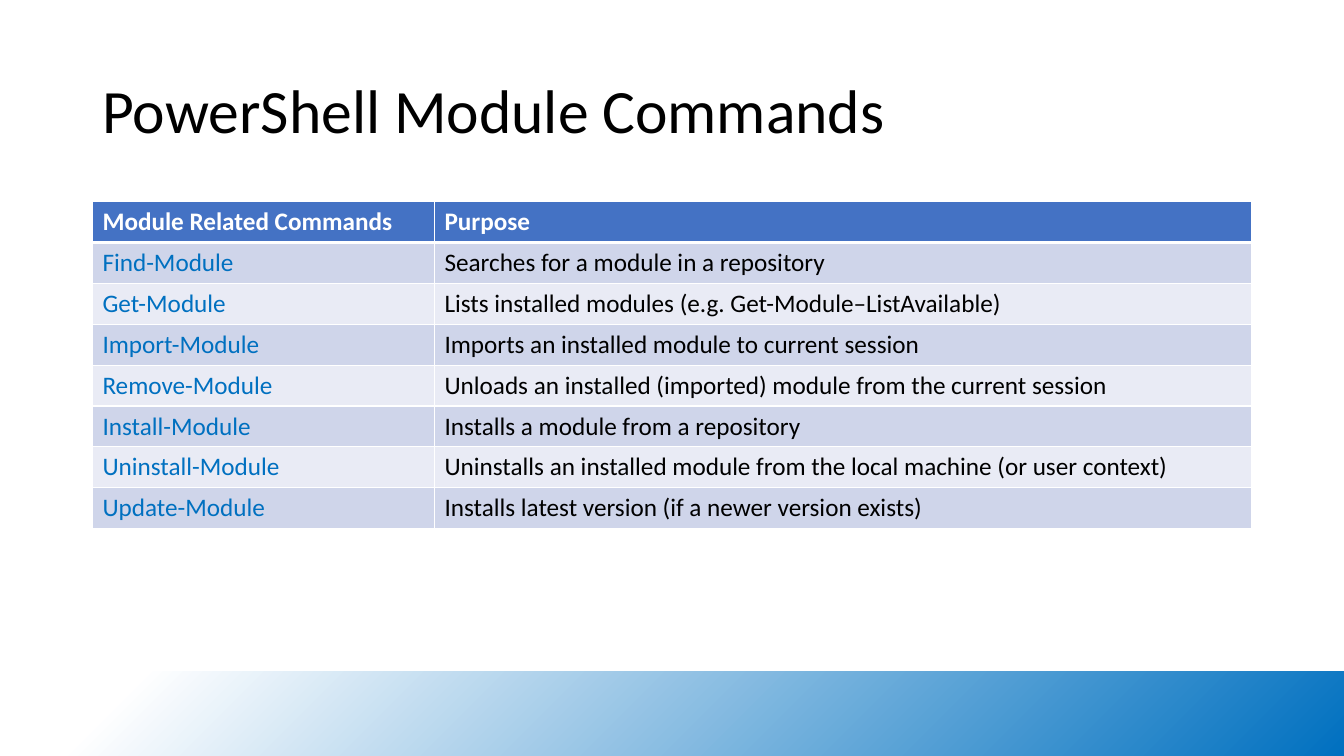
from lxml.etree import fromstring
from pptx import Presentation
from pptx.dml.color import RGBColor
from pptx.enum.shapes import MSO_SHAPE
from pptx.enum.text import MSO_ANCHOR
from pptx.util import Cm, Pt

NS = 'xmlns:a="http://schemas.openxmlformats.org/drawingml/2006/main"'
FONT = "Calibri"
WHITE, BLACK, BLUE, HEADER = "FFFFFF", "000000", "0070C0", "4472C4"
BANDS = ["CFD5EA", "E9EBF5"]

ROWS = [
    ("Module Related Commands", "Purpose"),
    ("Find-Module", "Searches for a module in a repository"),
    ("Get-Module", "Lists installed modules (e.g. Get-Module–ListAvailable)"),
    ("Import-Module", "Imports an installed module to current session"),
    ("Remove-Module", "Unloads an installed (imported) module from the current session"),
    ("Install-Module", "Installs a module from a repository"),
    ("Uninstall-Module", "Uninstalls an installed module from the local machine (or user context)"),
    ("Update-Module", "Installs latest version (if a newer version exists)"),
]


def rgb(color):
    return RGBColor.from_string(color)


def write(tf, text, size, color, bold=False):
    tf.text = text
    font = tf.paragraphs[0].runs[0].font
    font.name, font.size, font.bold = FONT, Pt(size), bold
    font.color.rgb = rgb(color)


prs = Presentation()
prs.slide_width, prs.slide_height = Cm(33.87), Cm(19.05)
s = prs.slides.add_slide(prs.slide_layouts[6])

# Footer band, fading out from the bottom right corner
band = s.shapes.add_shape(MSO_SHAPE.RECTANGLE, 0, Cm(16.93), prs.slide_width, Cm(2.12))
band.shadow.inherit = False
band.line.fill.background()
band.fill.background()
no_fill = band.element.spPr.find("{*}noFill")
no_fill.getparent().replace(no_fill, fromstring(
    f'<a:gradFill {NS} rotWithShape="1"><a:gsLst>'
    f'<a:gs pos="0"><a:srgbClr val="{WHITE}"/></a:gs>'
    f'<a:gs pos="0"><a:srgbClr val="{BLUE}"/></a:gs>'
    f'<a:gs pos="90000"><a:srgbClr val="{WHITE}"/></a:gs></a:gsLst>'
    '<a:path path="circle"><a:fillToRect l="100000" t="100000"/></a:path>'
    '<a:tileRect r="-100000" b="-100000"/></a:gradFill>'))

# Title
title = s.shapes.add_textbox(Cm(2.33), Cm(1.01), Cm(29.21), Cm(3.68))
tf = title.text_frame
tf.word_wrap = True
tf.vertical_anchor = MSO_ANCHOR.MIDDLE
write(tf, "PowerShell Module Commands", 44, BLACK)
tf.paragraphs[0].line_spacing = 0.9

# Command table
row_height = Cm(1.03)
table = s.shapes.add_table(len(ROWS), 2, Cm(2.33), Cm(5.08),
                           Cm(29.21), row_height * len(ROWS)).table
table.columns[0].width, table.columns[1].width = Cm(8.62), Cm(20.59)
for i, row in enumerate(ROWS):
    table.rows[i].height = row_height
    header = i == 0
    fill = HEADER if header else BANDS[(i - 1) % 2]
    widths = {"L": 1, "R": 1, "T": 3 if i == 1 else 1, "B": 3 if header else 1}
    for j, text in enumerate(row):
        cell = table.cell(i, j)
        color = WHITE if header else (BLUE, BLACK)[j]
        write(cell.text_frame, text, 18, color, bold=header)
        tcPr = cell._tc.get_or_add_tcPr()
        for side, width in widths.items():
            tcPr.append(fromstring(
                f'<a:ln{side} {NS} w="{Pt(width)}"><a:solidFill>'
                f'<a:srgbClr val="{WHITE}"/></a:solidFill></a:ln{side}>'))
        cell.fill.solid()
        cell.fill.fore_color.rgb = rgb(fill)

prs.save("out.pptx")
